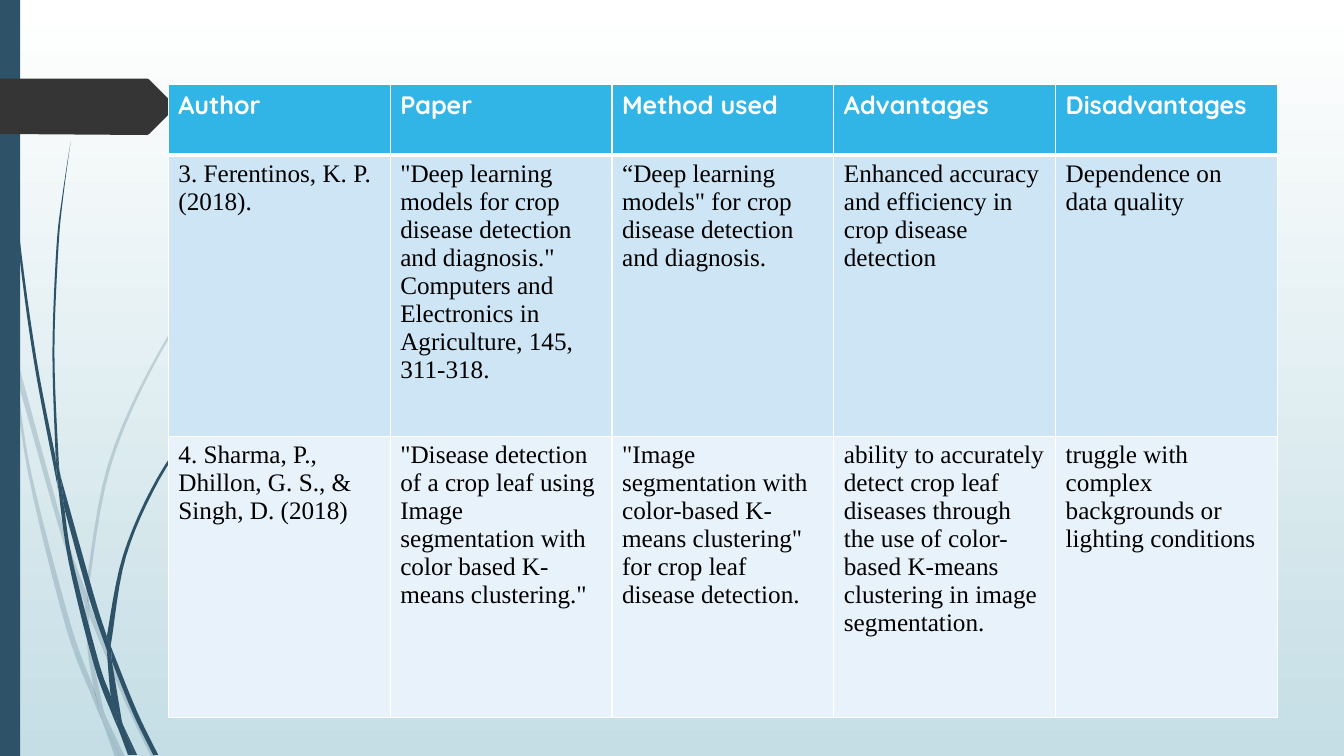
from lxml import etree
from pptx import Presentation
from pptx import util as u
from pptx.dml.color import RGBColor
from pptx.enum import shapes
from pptx.oxml import ns

BLUE, DARK, WHITE, BLACK = "2E5369", "353535", "FFFFFF", "000000"
HEADER_FILL, ROW_FILLS = "31B4E6", ("CEE5F5", "E8F2FA")

# Each blade of grass is two edges, given as points in inches
PALE_BLADES = [
    ([(0.11, 3.5), (0.09, 3.22), (0, 2.82)], [(0, 2.99), (0.1, 3.44), (0.11, 3.5)]),
    ([(0.14, 3.45), (0.62, 5.2), (0.85, 5.86)], [(0.84, 5.99), (0.58, 5.22), (0.17, 3.76)]),
    ([(0.88, 5.96), (0.92, 6.07), (1.27, 6.92), (1.55, 7.51)],
     [(1.5, 7.51), (1.23, 6.94), (0.88, 6.1)]),
    ([(1.19, 7.51), (1.24, 7.51)], [(1.05, 7.11)]),
    ([(0.11, 3.5), (0.28, 4.7), (0.65, 6.21), (0.92, 6.93), (1.01, 7.14)],
     [(0.99, 7.07), (0.93, 6.83), (0.7, 6.19), (0.31, 4.69), (0.17, 3.76)]),
    ([(0.84, 5.99), (0.87, 6.46), (0.93, 6.83), (0.96, 6.92), (1.05, 7.11)],
     [(1.03, 7.06), (0.91, 6.46), (0.88, 6.1), (0.84, 5.99)]),
    ([(0.88, 5.96), (0.88, 5.84), (1.1, 4.62), (1.6, 3.49), (2.29, 2.45), (2.68, 1.98), (3.12, 1.54)],
     [(3.12, 1.53), (2.68, 1.97), (2.28, 2.44), (1.58, 3.48), (1.07, 4.61), (0.85, 5.84)]),
    ([(1.01, 7.14), (1.14, 7.51)], [(1.19, 7.51)]),
    ([(0.88, 6.1), (0.88, 5.96), (0.85, 5.86)], [(0.84, 5.99), (0.88, 6.08)]),
    ([(0.93, 6.83), (0.99, 7.07), (1.01, 7.14), (1.19, 7.51)], [(1.05, 7.11), (0.96, 6.92)]),
]
DARK_BLADES = [
    ([(0.03, 0), (0.04, 0.48), (0.07, 1.1), (0.17, 2.33), (0.33, 3.55), (0.56, 4.77), (0.57, 4.81)],
     [(0.55, 4.53), (0.36, 3.55), (0.19, 2.32), (0.08, 1.09), (0.05, 0.48), (0.04, 0)]),
    ([(0.6, 4.72), (0.93, 5.9), (1.06, 6.31)], [(1.06, 6.45), (0.88, 5.92), (0.64, 5.05)]),
    ([(1.1, 6.41), (1.13, 6.49), (1.36, 7.06), (1.57, 7.49)],
     [(1.52, 7.49), (1.32, 7.08), (1.11, 6.56)]),
    ([(0.57, 4.77), (0.68, 5.57), (0.93, 6.59), (1.11, 7.08), (1.17, 7.22)],
     [(1.16, 7.17), (1.1, 6.91), (0.98, 6.57), (0.72, 5.56), (0.64, 5.05)]),
    ([(0.6, 4.72), (0.58, 4.53), (0.54, 3.49), (0.58, 2.45), (0.63, 1.93), (0.7, 1.41)],
     [(0.7, 1.41), (0.62, 1.93), (0.56, 2.45), (0.52, 3.49), (0.55, 4.49)]),
    ([(1.33, 7.49), (1.36, 7.49)], [(1.22, 7.19)]),
    ([(0.55, 4.49), (0.57, 4.77), (0.64, 5.05)], [(0.6, 4.72)]),
    ([(1.1, 6.41), (1.11, 6.33), (1.25, 5.52), (1.58, 4.76), (2.05, 4.06), (2.31, 3.74), (2.61, 3.44)],
     [(2.6, 3.44), (2.31, 3.73), (2.04, 4.05), (1.56, 4.74), (1.22, 5.51), (1.06, 6.31)]),
    ([(1.17, 7.22), (1.27, 7.49)], [(1.31, 7.49)]),
    ([(1.06, 6.45), (1.1, 6.91), (1.16, 7.06), (1.22, 7.19)], [(1.21, 7.16), (1.11, 6.56)]),
    ([(1.06, 6.31), (1.06, 6.45)], [(1.11, 6.56), (1.1, 6.41)]),
    ([(1.1, 6.91), (1.16, 7.17), (1.17, 7.22), (1.3, 7.49)], [(1.33, 7.49), (1.22, 7.19), (1.16, 7.06)]),
]
ARROW_TAG = [(0, 0.78), (1.46, 0.78), (1.48, 0.79), (1.73, 1.04), (1.74, 1.06),
             (1.73, 1.08), (1.48, 1.33), (1.46, 1.34), (0, 1.33)]

PAPERS = [
    ["Author", "Paper", "Method used", "Advantages", "Disadvantages"],
    ["3. Ferentinos, K. P. (2018).",
     '"Deep learning models for crop disease detection and diagnosis." '
     "Computers and Electronics in Agriculture, 145, 311-318.",
     '“Deep learning models" for crop disease detection and diagnosis.',
     "Enhanced accuracy and efficiency in crop disease detection",
     "Dependence on data quality"],
    ["4. Sharma, P., Dhillon, G. S., & Singh, D. (2018)",
     '"Disease detection of a crop leaf using Image segmentation with '
     'color based K-means clustering."',
     '"Image segmentation with color-based K-means clustering" for crop leaf disease detection.',
     "ability to accurately detect crop leaf diseases through the use of "
     "color-based K-means clustering in image segmentation.",
     "truggle with complex backgrounds or lighting conditions"],
]


def color(value):
    return RGBColor.from_string(value)


def smooth(points, steps=6):
    """Run a Catmull-Rom curve through the points."""
    padded = [points[0], *points, points[-1]]
    curve = [points[0]]
    for a, b, c, d in zip(padded, padded[1:], padded[2:], padded[3:]):
        for step in range(1, steps + 1):
            t = step / steps
            curve.append(tuple(
                (2 * q + (r - p) * t + (2 * p - 5 * q + 4 * r - s) * t ** 2
                 + (3 * q - p - 3 * r + s) * t ** 3) / 2
                for p, q, r, s in zip(a, b, c, d)))
    return curve


def write(frame, content, *, font, size, ink, bold=False):
    span = frame.paragraphs[0].add_run()
    span.text = content
    span.font.name, span.font.size, span.font.bold = font, u.Pt(size), bold
    span.font.color.rgb = color(ink)


class Slide:
    def __init__(self, deck):
        self.page = deck.slides.add_slide(deck.slide_layouts[6])

    def background(self, top, bottom):
        fill = self.page.background.fill
        fill.gradient()
        fill.gradient_angle = 270
        for stop, value in zip(fill.gradient_stops, (top, bottom)):
            stop.color.rgb = color(value)

    def paint(self, shape, fill, opacity=100):
        shape.shadow.inherit = False
        shape.fill.solid()
        shape.fill.fore_color.rgb = color(fill)
        shape.line.fill.background()
        if opacity < 100:
            tint = shape.fill._xPr.find(".//" + ns.qn("a:srgbClr"))
            etree.SubElement(tint, ns.qn("a:alpha"), val=str(opacity * 1000))

    def bar(self, left, top, width, height, fill):
        place = map(u.Inches, (left, top, width, height))
        self.paint(self.page.shapes.add_shape(shapes.MSO_SHAPE.RECTANGLE, *place), fill)

    def outline(self, points, fill, opacity=100):
        start, *others = [(u.Inches(x), u.Inches(y)) for x, y in points]
        builder = self.page.shapes.build_freeform(*start)
        builder.add_line_segments(others, close=True)
        self.paint(builder.convert_to_shape(), fill, opacity)

    def border(self, cell, side, width):
        line = etree.Element(ns.qn("a:ln" + side), w=str(u.Pt(width)))
        solid = etree.SubElement(line, ns.qn("a:solidFill"))
        etree.SubElement(solid, ns.qn("a:srgbClr"), val=WHITE)
        cell._tc.get_or_add_tcPr().insert("LRTB".index(side), line)

    def table(self, rows, left, top, widths, heights):
        place = map(u.Inches, (left, top, sum(widths), sum(heights)))
        grid = self.page.shapes.add_table(len(rows), len(rows[0]), *place).table
        for column, width in zip(grid.columns, widths):
            column.width = u.Inches(width)
        for number, (row, height) in enumerate(zip(rows, heights)):
            grid.rows[number].height = u.Inches(height)
            header = number == 0
            for cell, content in zip(grid.rows[number].cells, row):
                for side in "LRTB":
                    thick = (number, side) in ((0, "B"), (1, "T"))
                    self.border(cell, side, 3 if thick else 1)
                cell.fill.solid()
                cell.fill.fore_color.rgb = color(HEADER_FILL if header else ROW_FILLS[number - 1])
                write(cell.text_frame, content, size=18, bold=header,
                      font="Quicksand" if header else "Times New Roman",
                      ink=WHITE if header else BLACK)


def main():
    deck = Presentation()
    deck.slide_width, deck.slide_height = u.Inches(13.33), u.Inches(7.5)
    slide = Slide(deck)
    slide.background(WHITE, "C5DEE5")

    # Grass along the left edge
    for blades, opacity in ((PALE_BLADES, 20), (DARK_BLADES, 100)):
        for edge, back in blades:
            slide.outline(smooth(edge) + smooth(back), BLUE, opacity)

    # Side bar and arrow tag
    slide.bar(0, 0, 0.2, 7.5, BLUE)
    slide.outline(ARROW_TAG, DARK)

    # Literature table
    slide.table(PAPERS, 1.67, 0.84, [2.2] * 5, [0.7, 2.79, 2.79])
    deck.save("out.pptx")


if __name__ == "__main__":
    main()
